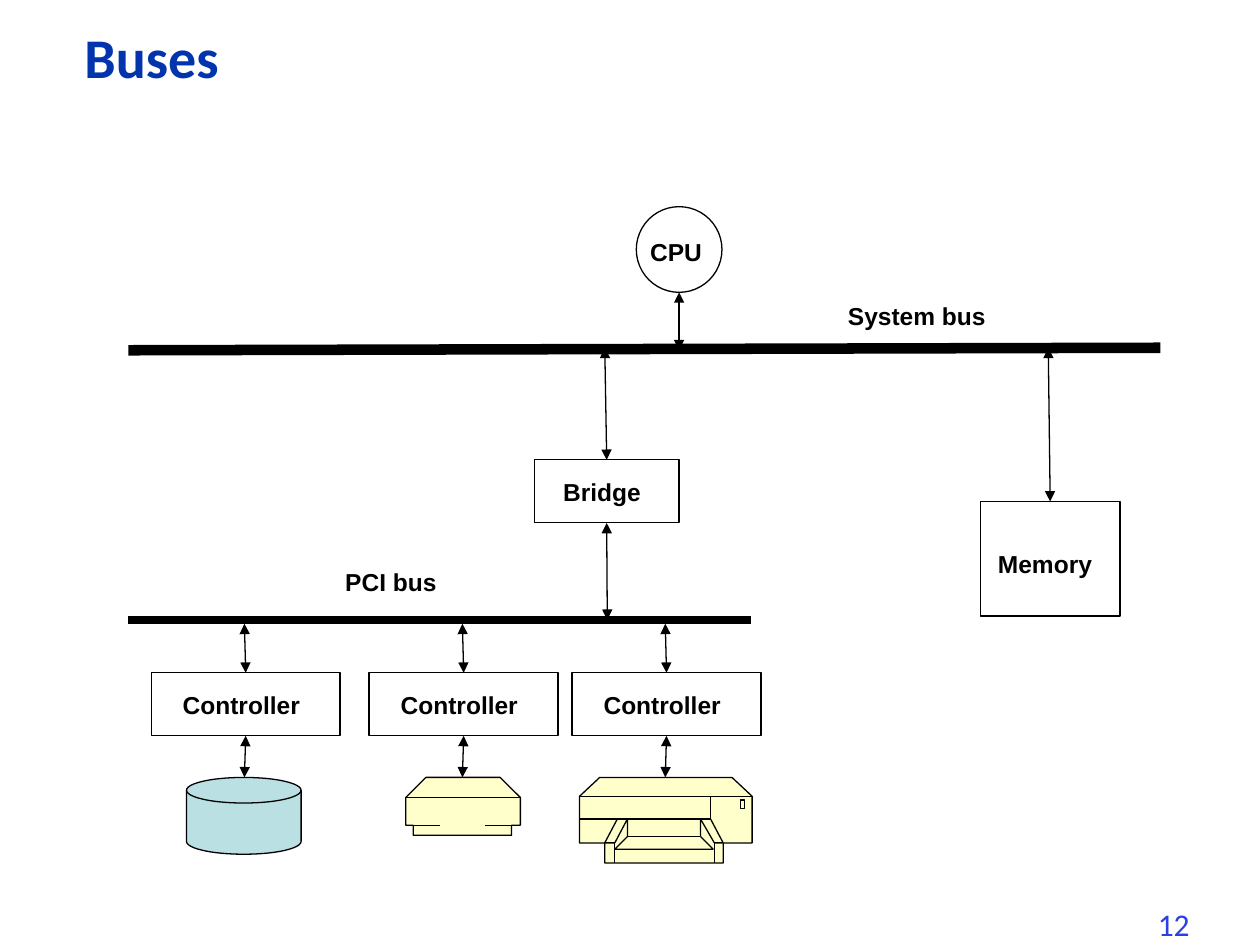
from dataclasses import dataclass
from lxml.etree import SubElement
from pptx import Presentation
from pptx.dml.color import RGBColor as Rgb
from pptx.enum.shapes import MSO_CONNECTOR as Link, MSO_SHAPE as Kind
from pptx.enum.text import MSO_ANCHOR as Anchor, MSO_AUTO_SIZE as Fit, PP_ALIGN as Align
from pptx.oxml.ns import qn
from pptx.util import Pt

PX = 9144
TOP, BOTTOM = 0, 2


@dataclass(frozen=True)
class Theme:
    ink: str = "000000"
    title: str = "0234AD"
    page: str = "2A40E2"
    disk: str = "BBE0E3"
    paper: str = "FFFFCC"
    head: str = "Calibri"
    body: str = "Arial"
    big: int = 32
    mid: int = 18
    small: int = 14
    thin: float = 0.75


def write(frame, text, *, size, font, color, bold=False, inset=(10, 5),
          anchor=Anchor.TOP, space=None):
    frame.word_wrap = True
    frame.auto_size = Fit.NONE
    frame.vertical_anchor = anchor
    frame.margin_left = frame.margin_right = inset[0] * PX
    frame.margin_top = frame.margin_bottom = inset[1] * PX
    para = frame.paragraphs[0]
    para.alignment = Align.LEFT
    para.line_spacing = space
    run = para.add_run()
    run.text = text
    run.font.size, run.font.name, run.font.bold = Pt(size), font, bold
    run.font.color.rgb = Rgb.from_string(color)


class Board:
    """Draws styled elements on the current slide."""

    def __init__(self, theme, slide):
        self.theme, self.slide = theme, slide
        self.shapes = slide.shapes

    def title(self, text, x, y, w, h):
        t, box = self.theme, self.shapes.title
        box.left, box.top, box.width, box.height = (n * PX for n in (x, y, w, h))
        write(box.text_frame, text, size=t.big, font=t.head, color=t.title,
              bold=True, anchor=Anchor.MIDDLE, space=0.9)

    def text(self, text, x, y, w, h, **style):
        box = self.shapes.add_textbox(*(n * PX for n in (x, y, w, h)))
        write(box.text_frame, text, **style)

    def label(self, text, x, y, w):
        t = self.theme
        self.text(text, x, y, w, 30, size=t.small, font=t.body, color=t.ink,
                  bold=True, inset=(5, 3))

    def paint(self, shape, fill):
        shape.shadow.inherit = False
        if fill:
            shape.fill.solid()
            shape.fill.fore_color.rgb = Rgb.from_string(fill)
        else:
            shape.fill.background()
        self.stroke(shape.line, self.theme.thin)
        return shape

    def stroke(self, line, width):
        line.color.rgb = Rgb.from_string(self.theme.ink)
        line.width = Pt(width)

    def shape(self, kind, x, y, w, h, fill=None):
        made = self.shapes.add_shape(kind, *(n * PX for n in (x, y, w, h)))
        return self.paint(made, fill)

    def line(self, start, end, width):
        wire = self.shapes.add_connector(Link.STRAIGHT, *(n * PX for n in (*start, *end)))
        self.stroke(wire.line, width)
        SubElement(wire._element.spPr, qn("a:effectLst"))
        return wire

    def arrow(self, start, end, begin=None, finish=None):
        wire = self.line(start, end, self.theme.thin)
        for tag in ("a:headEnd", "a:tailEnd"):
            SubElement(wire.get_or_add_ln(), qn(tag), type="triangle")
        if begin:
            wire.begin_connect(*begin)
        if finish:
            wire.end_connect(*finish)

    def draw(self, paths, fill=None, close=False):
        pen = self.shapes.build_freeform(*paths[0][0], scale=PX)
        for i, (first, *rest) in enumerate(paths):
            if i:
                pen.move_to(*first)
            pen.add_line_segments(rest, close=close)
        self.paint(pen.convert_to_shape(), fill)


def scanner(board):
    board.draw([[(413, 633), (397, 617), (338, 617), (322, 633), (322, 655), (328, 655),
                 (328, 663), (406, 663), (406, 655), (413, 655)]],
               board.theme.paper, close=True)
    board.draw([[(328, 655), (349, 655)], [(406, 655), (385, 655)],
                [(322, 633), (413, 633)]])


def printer(board):
    board.draw([[(476, 617), (581, 617), (597, 632), (597, 669), (574, 669), (574, 685),
                 (480, 685), (480, 669), (460, 669), (460, 632)]],
               board.theme.paper, close=True)
    board.draw([
        [(460, 632), (597, 632)],
        [(564, 632), (564, 650), (460, 650)],
        [(488, 669), (488, 685)],
        [(567, 669), (567, 685)],
        [(556, 664), (556, 650), (567, 669), (574, 669), (564, 650)],
        [(556, 664), (566, 674), (488, 674), (498, 664), (498, 650),
         (488, 669), (480, 669), (490, 650)],
        [(588, 635), (591, 635), (591, 642), (588, 642), (588, 635)],
        [(498, 664), (556, 664)],
    ])


def main():
    deck = Presentation()
    deck.slide_width, deck.slide_height = 1000 * PX, 750 * PX
    theme = Theme()
    board = Board(theme, deck.slides.add_slide(deck.slide_layouts[5]))
    board.title("Buses", 57, 19, 783, 58)
    board.text("12", 909, 713, 51, 40, size=theme.mid, font=theme.head, color=theme.page)

    board.line((102, 278), (921, 276), 6)
    board.label("System bus", 668, 236, 127)
    board.line((102, 492), (596, 492), 4.5)
    board.label("PCI bus", 269, 447, 84)

    board.shape(Kind.OVAL, 505, 164, 68, 68)
    board.label("CPU", 511, 185, 61)
    board.arrow((539, 232), (539, 278))

    memory = board.shape(Kind.RECTANGLE, 778, 398, 111, 91)
    board.label("Memory", 787, 433, 96)
    board.arrow((832, 276), (833, 398), finish=(memory, TOP))

    bridge = board.shape(Kind.RECTANGLE, 424, 365, 115, 50)
    board.label("Bridge", 442, 376, 84)
    board.arrow((480, 276), (480, 365), finish=(bridge, TOP))
    board.arrow((482, 415), (482, 492), begin=(bridge, BOTTOM))

    board.shape(Kind.FLOWCHART_MAGNETIC_DISK, 148, 617, 91, 61, theme.disk)
    scanner(board)
    printer(board)
    for x in (120, 293, 454):
        box = board.shape(Kind.RECTANGLE, x, 534, 150, 50)
        board.label("Controller", x + 20, 545, 112)
        board.arrow((x + 74, 495), (x + 75, 534), finish=(box, TOP))
        board.arrow((x + 75, 584), (x + 74, 617), begin=(box, BOTTOM))
    deck.save("out.pptx")


if __name__ == "__main__":
    main()
